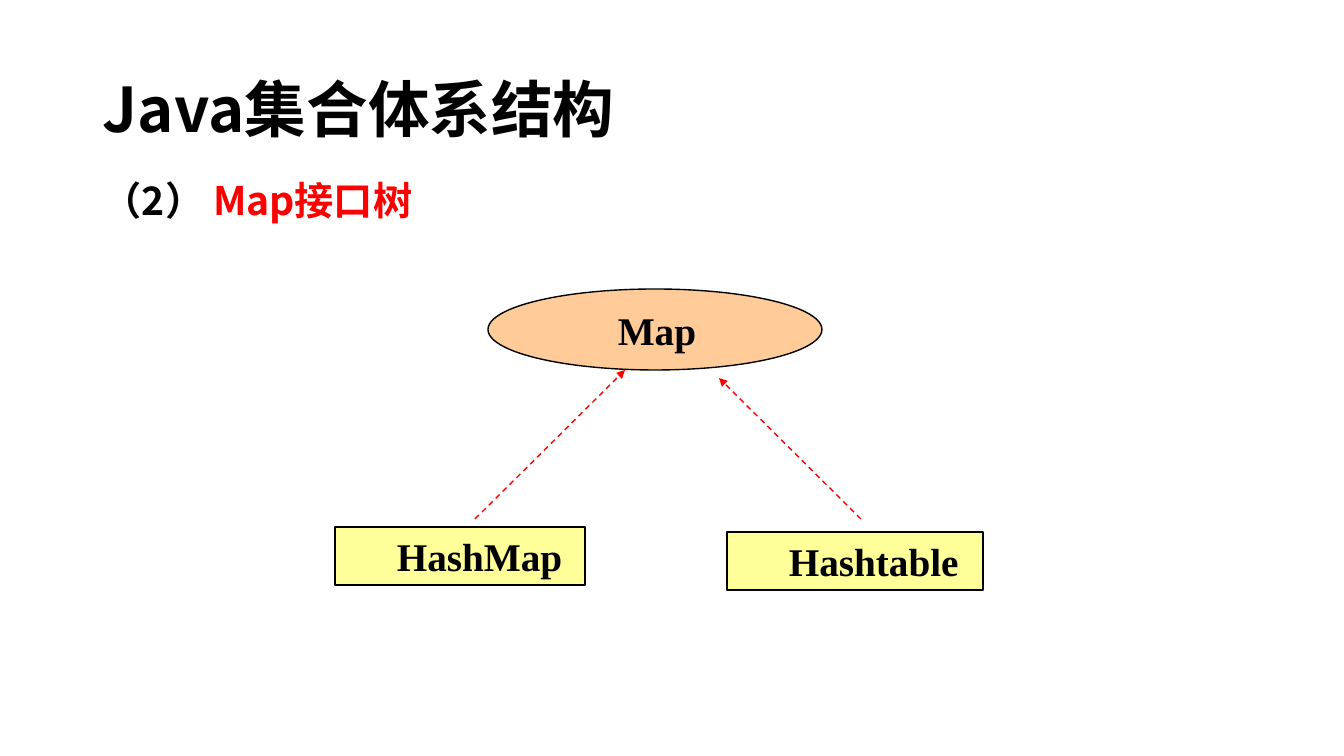
import pptx
import pptx.dml.color
import pptx.enum.dml
import pptx.enum.shapes
import pptx.enum.text
import pptx.oxml
import pptx.oxml.ns
import pptx.oxml.xmlchemy
import pptx.util

SHAPES = pptx.enum.shapes.MSO_SHAPE
ANCHOR = pptx.enum.text.MSO_ANCHOR
AUTO_SIZE = pptx.enum.text.MSO_AUTO_SIZE

THEME = {
    "black": "000000", "red": "FF0000", "interface": "FFCC99", "class": "FF" "FF99",
    "heading_font": "Noto Sans CJK SC", "node_font": "Times New Roman",
    "title_size": 44, "body_size": 28, "line_width": 1,
}

# Boxes are left, top, width, height in pixels.
TITLE = {"box": (93, 40, 1159, 146), "runs": [("Java集合体系结构", "black")]}
SUBTITLE = {"box": (93, 171, 619, 57),
            "runs": [("（2） ", "black"), ("Map接口树", "red")]}
# Text, preset, fill, box, first-line indent
NODES = [
    ("Map", SHAPES.OVAL, "interface", (488, 289, 334, 81), -12),
    ("HashMap", SHAPES.RECTANGLE, "class", (335, 527, 250, 58), -31),
    ("Hashtable", SHAPES.RECTANGLE, "class", (727, 532, 256, 58), -31),
]
NODE_MARGIN = 83
# Each arrow runs from an implementing class up to the interface.
ARROWS = [((475, 519), (625, 370)), ((861, 519), (719, 378))]

PIXELS_PER_INCH = 100.8
SLIDE_SIZE = (1344, 756)


def px(length):
    """Turn pixels into EMU."""
    return pptx.util.Emu(round(length * 914400 / PIXELS_PER_INCH))


def color(name):
    """Return a theme colour."""
    return pptx.dml.color.RGBColor.from_string(THEME[name])


def set_all(target, values):
    """Set every attribute named in a dict."""
    for name, value in values.items():
        setattr(target, name, value)


def add_child(parent, tag, **attributes):
    """Append an empty DrawingML element."""
    child = pptx.oxml.xmlchemy.OxmlElement(tag)
    for name, value in attributes.items():
        child.set(name, value)
    parent.append(child)


def write(shape, runs, font, size, frame_format, paragraph_format):
    """Fill a shape with one paragraph of bold coloured runs."""
    set_all(shape.text_frame, {"word_wrap": True, **frame_format})
    paragraph = shape.text_frame.paragraphs[0]
    set_all(paragraph, {"alignment": pptx.enum.text.PP_ALIGN.LEFT, **paragraph_format})
    for text, color_name in runs:
        run = paragraph.add_run()
        run.text = text
        set_all(run.font, {"name": THEME[font], "bold": True,
                           "size": pptx.util.Pt(THEME[size])})
        run.font.color.rgb = color(color_name)
        add_child(run.font._element, "a:ea", typeface=THEME[font])
    return paragraph


def add_heading(slide, heading, size, frame_format, paragraph_format):
    """Add a text box for the title or subtitle."""
    shape = slide.shapes.add_textbox(*map(px, heading["box"]))
    write(shape, heading["runs"], "heading_font", size, frame_format, paragraph_format)


def add_node(slide, text, preset, fill, box, indent):
    """Add an interface or class of the tree."""
    shape = slide.shapes.add_shape(preset, *map(px, box))
    shape.shadow.inherit = False
    shape.fill.solid()
    shape.fill.fore_color.rgb = color(fill)
    shape.line.color.rgb = color("black")
    shape.line.width = pptx.util.Pt(THEME["line_width"])
    paragraph = write(
        shape, [(text, "black")], "node_font", "body_size",
        {"vertical_anchor": ANCHOR.MIDDLE, "auto_size": AUTO_SIZE.SHAPE_TO_FIT_TEXT},
        {"space_before": pptx.util.Pt(7), "space_after": pptx.util.Pt(4)})
    properties = paragraph._p.get_or_add_pPr()
    properties.set("marL", str(px(NODE_MARGIN)))
    properties.set("indent", str(px(indent)))


def add_arrow(slide, start, end):
    """Add a dashed arrow between two points."""
    connector = slide.shapes.add_connector(
        pptx.enum.shapes.MSO_CONNECTOR.STRAIGHT, *map(px, start + end))
    connector.line.color.rgb = color("red")
    set_all(connector.line, {"width": pptx.util.Pt(THEME["line_width"]),
                             "dash_style": pptx.enum.dml.MSO_LINE.DASH})
    add_child(connector.line._get_or_add_ln(), "a:tailEnd", type="triangle")
    add_child(connector._element.spPr, "a:effectLst")


presentation = pptx.Presentation()
set_all(presentation, dict(zip(("slide_width", "slide_height"), map(px, SLIDE_SIZE))))
slide = presentation.slides.add_slide(presentation.slide_layouts[6])
add_heading(slide, TITLE, "title_size",
            {"vertical_anchor": ANCHOR.MIDDLE}, {"line_spacing": 0.9})
for node in NODES:
    add_node(slide, *node)
for arrow in ARROWS:
    add_arrow(slide, *arrow)
add_heading(slide, SUBTITLE, "body_size",
            {"auto_size": AUTO_SIZE.SHAPE_TO_FIT_TEXT}, {})
presentation.save("out.pptx")
